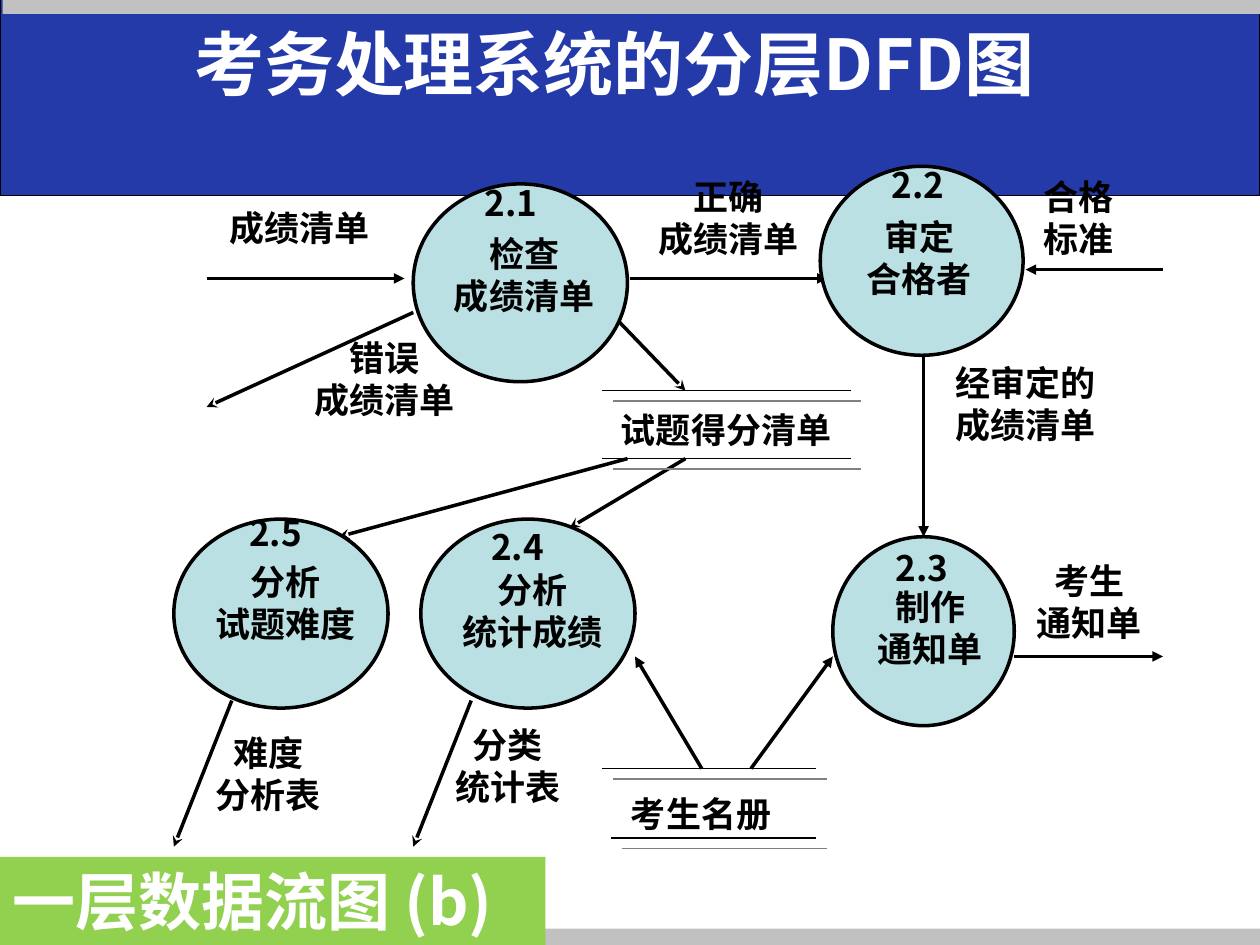
from dataclasses import dataclass
from lxml.etree import SubElement
from pptx import Presentation
from pptx.dml.color import RGBColor
from pptx.enum.shapes import MSO_CONNECTOR, MSO_SHAPE
from pptx.enum.text import MSO_ANCHOR, PP_ALIGN
from pptx.oxml.ns import qn
from pptx.util import Inches, Pt


@dataclass(frozen=True)
class Theme:
    font: str = "Noto Sans CJK SC"
    banner: str = "243AA8"
    edge: str = "C1C1C1"
    bubble: str = "BBE0E3"
    badge: str = "92D050"
    shadow: str = "808080"
    ink: str = "000000"
    light: str = "FFFFFF"
    label_size: int = 20
    badge_size: int = 36
    title_size: int = 40
    leading: float = 1.2
    flow_width: float = 2
    store_width: float = 1
    border_width: float = 0.75


class Diagram:
    columns, rows = 100, 75

    def __init__(self, deck, theme):
        self.theme = theme
        self.page = deck.slides.add_slide(deck.slide_layouts[5])
        self.shapes = self.page.shapes
        self.column = deck.slide_width / self.columns
        self.row = deck.slide_height / self.rows

    def place(self, *lengths):
        steps = (self.column, self.row) * 2
        return [round(length * step) for length, step in zip(lengths, steps)]

    def fill_text(self, box, text, size, color, align, anchor=MSO_ANCHOR.TOP, wrap=True):
        frame = box.text_frame
        frame.text = text
        frame.word_wrap = wrap
        frame.vertical_anchor = anchor
        for para in frame.paragraphs:
            para.alignment = align
            para.line_spacing = Pt(size * self.theme.leading)
            for span in para.runs:
                span.font.size = Pt(size)
                span.font.bold = True
                span.font.name = self.theme.font
                span.font.color.rgb = RGBColor.from_string(color)
                east_asian = SubElement(span.font._element, qn("a:ea"))
                east_asian.set("typeface", self.theme.font)

    def solid(self, preset, area, fill, width=0):
        shape = self.shapes.add_shape(preset, *self.place(*area))
        shape.shadow.inherit = False
        shape.fill.solid()
        shape.fill.fore_color.rgb = RGBColor.from_string(fill)
        if width:
            shape.line.color.rgb = RGBColor.from_string(self.theme.ink)
            shape.line.width = Pt(width)
        else:
            shape.line.fill.background()
        return shape

    def line(self, points, width):
        line = self.shapes.add_connector(MSO_CONNECTOR.STRAIGHT, *self.place(*points))
        line.line.color.rgb = RGBColor.from_string(self.theme.ink)
        line.line.width = Pt(width)
        return line, SubElement(line._element.spPr, qn("a:effectLst"))

    def flow(self, points, arrow):
        line, _ = self.line(points, self.theme.flow_width)
        SubElement(line.line._get_or_add_ln(), qn("a:tailEnd")).set("type", arrow)

    def store_rule(self, left, right, top):
        _, effects = self.line((left, top, right, top), self.theme.store_width)
        shadow = SubElement(effects, qn("a:outerShdw"), dist=str(Pt(8.5)),
                            dir=str(45 * 60000), algn="ctr", rotWithShape="0")
        SubElement(shadow, qn("a:srgbClr")).set("val", self.theme.shadow)

    def label(self, text, area, align=PP_ALIGN.CENTER, wrap=True):
        box = self.shapes.add_textbox(*self.place(*area))
        self.fill_text(box, text, self.theme.label_size, self.theme.ink, align, wrap=wrap)

    def process(self, number, name, bubble, number_at, name_area):
        self.solid(MSO_SHAPE.OVAL, bubble, self.theme.bubble, self.theme.flow_width)
        self.label(name, (*name_area, 7.6))
        self.label(number, (*number_at, 6.2, 4.2), PP_ALIGN.LEFT, False)

    def badge(self, text, area):
        box = self.solid(MSO_SHAPE.RECTANGLE, area, self.theme.badge)
        self.fill_text(box, text, self.theme.badge_size, self.theme.light, PP_ALIGN.LEFT)

    def title(self, text, area):
        box = self.shapes.title
        box.left, box.top, box.width, box.height = self.place(*area)
        self.fill_text(box, text, self.theme.title_size, self.theme.light,
                       PP_ALIGN.CENTER, MSO_ANCHOR.MIDDLE)
        box._element.getparent().append(box._element)


FLOWS = {
    "triangle": [
        (16.4, 22.1, 32.1, 22.1), (50, 22.1, 65.7, 22.1), (92.3, 21.4, 81.4, 21.4),
        (73.3, 28.2, 73.3, 42.6), (80.5, 52.1, 92.3, 52.1),
        (59.6, 61, 66.1, 52.1), (55.7, 61, 50.4, 52.1),
    ],
    "stealth": [
        (32.8, 24.8, 16.4, 32.3), (49.1, 25.5, 54.4, 31), (49.8, 36.4, 26.9, 42.6),
        (54.4, 36.4, 45.2, 41.9), (18.4, 55.6, 13.8, 67.2), (37.4, 55.6, 32.8, 67.2),
    ],
}
STORE_RULES = [(47.8, 67.5, 31), (47.8, 67.5, 36.4), (47.8, 64.8, 61), (48.5, 64.8, 66.5)]
PROCESSES = [
    ("2.1", "检查\n成绩清单", (32.8, 14.6, 17, 15.7), (37.5, 13.9), (33.4, 18, 16.4)),
    ("2.2", "审定\n合格者", (65.1, 13.2, 16.1, 15), (69.8, 12.5), (66.1, 16.6, 13.7)),
    ("2.3", "制作\n通知单", (66.1, 42.6, 14.4, 15), (70.1, 42.9), (67, 46, 13.7)),
    ("2.4", "分析\n统计成绩", (33.4, 41.2, 17, 15), (38, 41.2), (34.1, 44.6, 16.4)),
    ("2.5", "分析\n试题难度", (13.8, 41.2, 17, 15), (18.8, 40.1), (14.5, 44, 16.3)),
]
LABELS = [
    ("成绩清单", (15.1, 15.9, 17.4, 4.3)),
    ("正确\n成绩清单", (49.1, 13.4, 17.4, 7.6)),
    ("错误\n成绩清单", (21.8, 26.2, 17.5, 7.6)),
    ("经审定的\n成绩清单", (72.7, 28.2, 17.4, 7.6)),
    ("考生\n通知单", (79.9, 43.9, 13.1, 7.6)),
    ("难度\n分析表", (15.1, 57.6, 12.4, 7.6)),
    ("分类\n统计表", (34.1, 56.9, 12.4, 7.6)),
    ("合格\n标准", (81.8, 13.4, 11.1, 7.6), PP_ALIGN.LEFT),
    ("试题得分清单", (48.3, 31.9, 23.3, 4.3), PP_ALIGN.LEFT),
    ("考生名册", (49.1, 62.4, 13.3, 4.3), PP_ALIGN.LEFT, False),
]

deck = Presentation()
deck.slide_width, deck.slide_height = Inches(10), Inches(7.5)
theme = Theme()
diagram = Diagram(deck, theme)
diagram.solid(MSO_SHAPE.RECTANGLE, (0, -0.2, 100, 15.7), theme.banner, theme.border_width)
for top, height in ((73.7, 1.3), (-0.1, 1.2)):
    diagram.solid(MSO_SHAPE.RECTANGLE, (0.2, top, 99.8, height), theme.edge)
for arrow, routes in FLOWS.items():
    for points in routes:
        diagram.flow(points, arrow)
for rule in STORE_RULES:
    diagram.store_rule(*rule)
for process in PROCESSES:
    diagram.process(*process)
for label in LABELS:
    diagram.label(*label)
diagram.badge("一层数据流图 (b)", (0, 68, 43.3, 7))
diagram.title("考务处理系统的分层DFD图", (0, 0, 97.5, 10))
deck.save("out.pptx")
